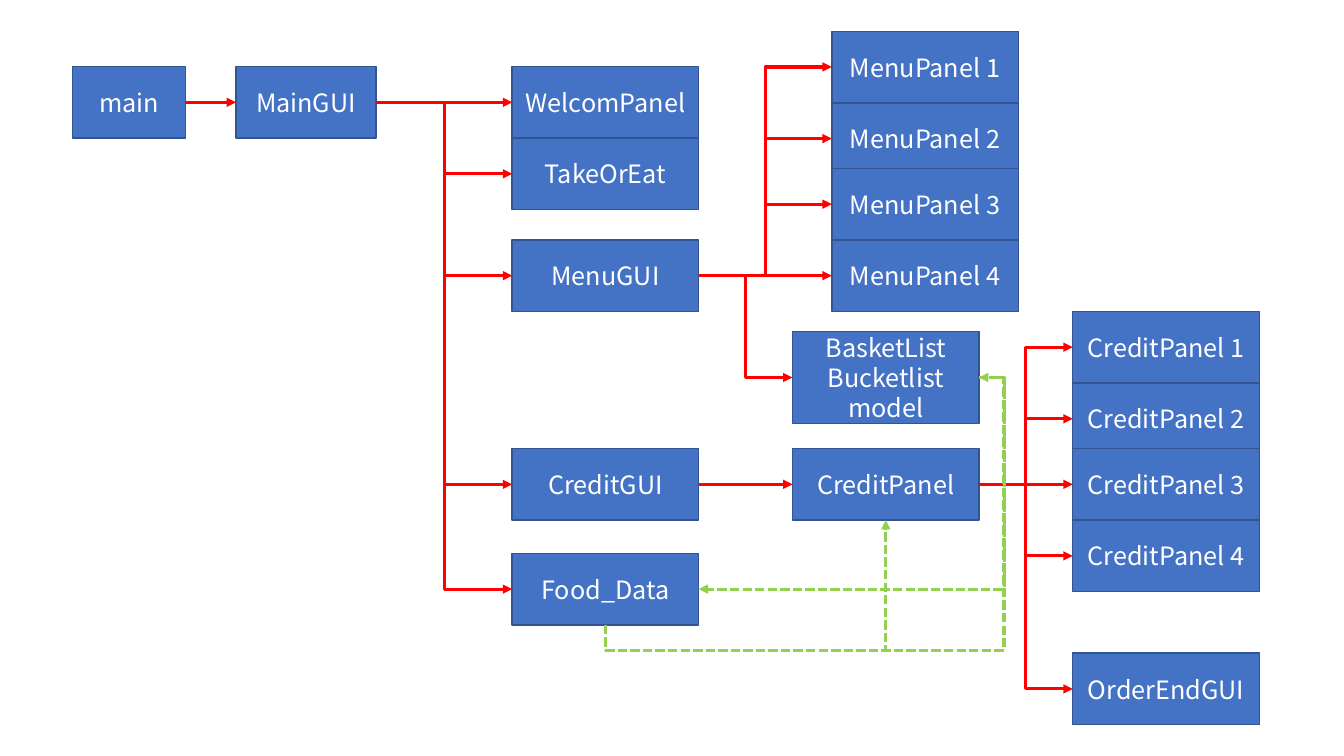
"""Draw the class flow diagram of an ordering kiosk."""
from dataclasses import dataclass

import lxml.etree
import pptx
import pptx.dml.color
import pptx.enum.dml
import pptx.enum.shapes
import pptx.enum.text
import pptx.oxml
import pptx.oxml.ns
import pptx.util

COLORS = {"box": "4472C4", "edge": "325491", "text": "FFFFFF", "call": "FF0000", "data": "92D050"}
FONT = {"name": "Noto Sans CJK KR", "size": pptx.util.Pt(18)}
FRAME = {"word_wrap": True, "vertical_anchor": pptx.enum.text.MSO_ANCHOR.MIDDLE}
TOP, LEFT, BOTTOM, RIGHT = range(4)
PANEL_STEPS = (0, 0.71, 1.36, 2.07)
Inches = pptx.util.Inches
qn = pptx.oxml.ns.qn


@dataclass(frozen=True)
class Box:
    """A class on the diagram; a line break in its label starts a paragraph."""
    label: str
    x: float
    y: float
    w: float = 1.85
    h: float = 0.71


@dataclass(frozen=True)
class Link:
    """An arrow between two boxes, with bend positions in 1/100000 of its extent."""
    start: str
    end: str
    start_side: int = RIGHT
    end_side: int = LEFT
    color: str = "call"
    bends: tuple[int, ...] = ()


BASKET = "BasketList\nBucketlist\nmodel"
MENU_PANELS = [Box(f"MenuPanel {n}", 8.25, 0.31 + dy) for n, dy in enumerate(PANEL_STEPS, 1)]
CREDIT_PANELS = [Box(f"CreditPanel {n}", 10.64, 3.09 + dy) for n, dy in enumerate(PANEL_STEPS, 1)]
BOXES = [
    Box("main", 0.72, 0.66, 1.12),
    Box("MainGUI", 2.34, 0.66, 1.39),
    Box("WelcomPanel", 5.08, 0.66),
    Box("TakeOrEat", 5.08, 1.37),
    Box("MenuGUI", 5.08, 2.38),
    Box("CreditGUI", 5.08, 4.45),
    Box("Food_Data", 5.08, 5.49),
    Box(BASKET, 7.86, 3.29, h=0.91),
    Box("CreditPanel", 7.86, 4.45),
    Box("OrderEndGUI", 10.64, 6.48),
    *MENU_PANELS,
    *CREDIT_PANELS,
]
CALLS = {
    "main": ["MainGUI"],
    "MainGUI": ["WelcomPanel", "TakeOrEat", "MenuGUI", "CreditGUI", "Food_Data"],
    "MenuGUI": [*(b.label for b in MENU_PANELS), BASKET],
    "CreditGUI": ["CreditPanel"],
    "CreditPanel": [*(b.label for b in CREDIT_PANELS), "OrderEndGUI"],
}
LINKS = [Link(start, end) for start, ends in CALLS.items() for end in ends] + [
    Link(BASKET, "Food_Data", RIGHT, RIGHT, "data", (-9000,)),
    Link("Food_Data", "CreditPanel", BOTTOM, BOTTOM, "data", (-24100,)),
    Link("Food_Data", BASKET, BOTTOM, RIGHT, "data", (-10200, 106700)),
]


def rgb(name: str) -> pptx.dml.color.RGBColor:
    """Return the named colour."""
    return pptx.dml.color.RGBColor.from_string(COLORS[name])


def apply(obj: object, values: dict) -> None:
    """Set each format value on an object."""
    for key, value in values.items():
        setattr(obj, key, value)


def draw_box(shapes, box: Box):
    """Draw a labelled rectangle and return it."""
    sp = shapes.add_shape(pptx.enum.shapes.MSO_SHAPE.RECTANGLE,
                          *(Inches(v) for v in (box.x, box.y, box.w, box.h)))
    sp.shadow.inherit = False
    sp.fill.solid()
    sp.fill.fore_color.rgb = rgb("box")
    sp.line.color.rgb = rgb("edge")
    sp.line.width = pptx.util.Pt(1)
    tf = sp.text_frame
    apply(tf, FRAME)
    tf.text = box.label
    for p in tf.paragraphs:
        p.alignment = pptx.enum.text.PP_ALIGN.CENTER
        apply(p.runs[0].font, FONT)
        p.runs[0].font.color.rgb = rgb("text")
    return sp


def bend(cxn, link: Link) -> None:
    """Place the elbows, turning the connector when it leaves downwards."""
    geom = cxn._element.spPr.find(qn("a:prstGeom"))
    geom.set("prst", f"bentConnector{len(link.bends) + 2}")
    guides = geom.get_or_add_avLst()
    for n, value in enumerate(link.bends, 1):
        lxml.etree.SubElement(guides, qn("a:gd"), name=f"adj{n}", fmla=f"val {value}")
    if link.start_side == BOTTOM:
        w, h = cxn.width, cxn.height
        apply(cxn, {"left": cxn.left + (w - h) // 2, "top": cxn.top + (h - w) // 2,
                    "width": h, "height": w})
        xfrm = cxn._element.spPr.find(qn("a:xfrm"))
        for key, value in {"rot": "5400000", "flipH": "1", "flipV": "1"}.items():
            xfrm.set(key, value)


def draw_link(shapes, link: Link, drawn: dict) -> None:
    """Draw an arrow joined to its two boxes."""
    start, end = drawn[link.start], drawn[link.end]
    level = start.top + start.height // 2 == end.top + end.height // 2
    kinds = pptx.enum.shapes.MSO_CONNECTOR
    cxn = shapes.add_connector(kinds.STRAIGHT if level else kinds.ELBOW, 0, 0, 0, 0)
    cxn.begin_connect(start, link.start_side)
    cxn.end_connect(end, link.end_side)
    if link.bends:
        bend(cxn, link)
    cxn.line.color.rgb = rgb(link.color)
    cxn.line.width = pptx.util.Pt(2.25)
    if link.color == "data":
        cxn.line.dash_style = pptx.enum.dml.MSO_LINE.SQUARE_DOT
    lxml.etree.SubElement(cxn.line._get_or_add_ln(), qn("a:tailEnd"), type="triangle")
    lxml.etree.SubElement(cxn._element.spPr, qn("a:effectLst"))


def main() -> None:
    """Build and save the slide."""
    prs = pptx.Presentation()
    prs.slide_width, prs.slide_height = Inches(13.33), Inches(7.5)
    shapes = prs.slides.add_slide(prs.slide_layouts[6]).shapes
    drawn = {box.label: draw_box(shapes, box) for box in BOXES}
    for link in LINKS:
        draw_link(shapes, link, drawn)
    prs.save("out.pptx")


if __name__ == "__main__":
    main()
